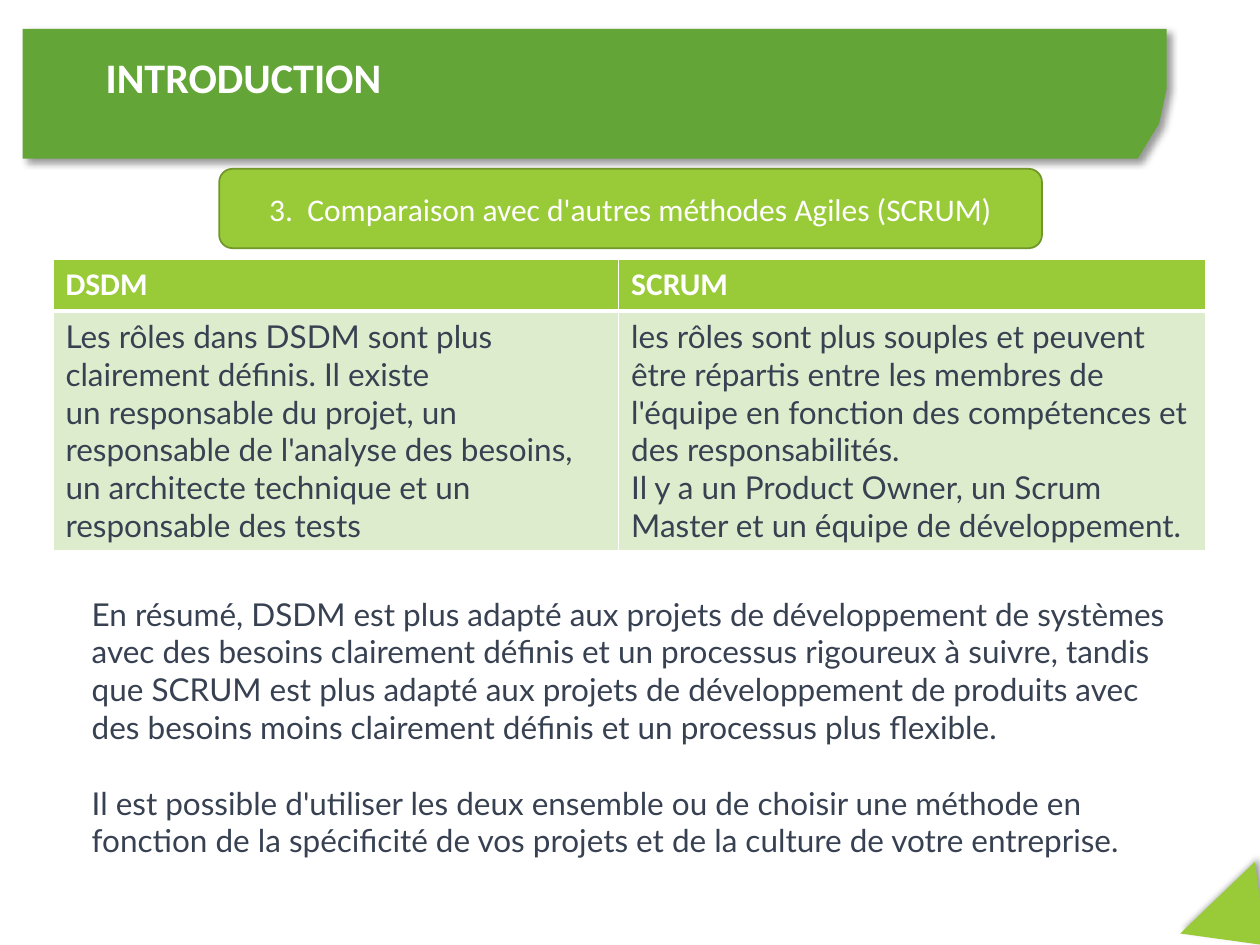
from lxml.etree import SubElement
from pptx import Presentation
from pptx.dml.color import RGBColor
from pptx.enum.shapes import MSO_SHAPE
from pptx.enum.text import MSO_ANCHOR, MSO_AUTO_SIZE, PP_ALIGN
from pptx.oxml.ns import qn
from pptx.util import Pt

PX = 9144  # EMU per px, 100 px to the inch

WHITE, LIME, DARK_LIME = "FFFFFF", "99CB38", "719629"
GREEN, PALE_GREEN, SLATE = "63A537", "DEECCE", "374151"

DSDM_ROLES = [
    "Les rôles dans DSDM sont plus clairement définis. Il existe",
    "un responsable du projet, un responsable de l'analyse des besoins, "
    "un architecte technique et un responsable des tests",
]
SCRUM_ROLES = [
    "les rôles sont plus souples et peuvent être répartis entre les membres de "
    "l'équipe en fonction des compétences et des responsabilités.",
    "Il y a un Product Owner, un Scrum Master et un équipe de développement.",
]
SUMMARY = [
    "En résumé, DSDM est plus adapté aux projets de développement de systèmes "
    "avec des besoins clairement définis et un processus rigoureux à suivre, "
    "tandis que SCRUM est plus adapté aux projets de développement de produits "
    "avec des besoins moins clairement définis et un processus plus flexible.",
    "Il est possible d'utiliser les deux ensemble ou de choisir une méthode en "
    "fonction de la spécificité de vos projets et de la culture de votre entreprise.",
]


def rgb(color):
    return RGBColor.from_string(color)


def emu(*lengths):
    return [length * PX for length in lengths]


def write(frame, paragraphs, font="Calibri", size=18, color=WHITE, bold=False,
          align=PP_ALIGN.LEFT, gap=0):
    """Fill a text frame; gap is the space in points between paragraphs."""
    frame.word_wrap = True
    for index, text in enumerate(paragraphs):
        paragraph = frame.paragraphs[0] if index == 0 else frame.add_paragraph()
        paragraph.alignment = align
        if index:
            paragraph.space_before = Pt(gap)
        run = paragraph.add_run()
        run.text = text
        run.font.name, run.font.size, run.font.bold = font, Pt(size), bold
        run.font.color.rgb = rgb(color)


def cast_shadow(shape, direction):
    effects = shape.element.spPr.find(qn("a:effectLst"))
    shadow = SubElement(effects, qn("a:outerShdw"), blurRad=str(Pt(4)), dist=str(Pt(3)),
                        dir=str(direction * 60000), algn="ctr", rotWithShape="0")
    black = SubElement(shadow, qn("a:srgbClr"), val="000000")
    SubElement(black, qn("a:alpha"), val="40000")


def draw_borders(cell, bottom):
    properties = cell._tc.get_or_add_tcPr()
    for side, width in (("L", 1), ("R", 1), ("T", 1), ("B", bottom)):
        border = SubElement(properties, qn(f"a:ln{side}"), w=str(Pt(width)))
        fill = SubElement(border, qn("a:solidFill"))
        SubElement(fill, qn("a:srgbClr"), val=WHITE)


class SlideBuilder:
    def __init__(self, slide):
        self.shapes = slide.shapes

    def paint(self, shape, fill, line=None):
        shape.shadow.inherit = False
        shape.fill.solid()
        shape.fill.fore_color.rgb = rgb(fill)
        if line:
            shape.line.color.rgb = rgb(line)
            shape.line.width = Pt(1)
        else:
            shape.line.fill.background()
        return shape

    def outline(self, points, fill):
        builder = self.shapes.build_freeform(*points[0], scale=PX)
        builder.add_line_segments(points[1:], close=True)
        return self.paint(builder.convert_to_shape(), fill)

    def preset(self, kind, box, fill, line=None):
        return self.paint(self.shapes.add_shape(kind, *emu(*box)), fill, line)

    def text(self, box, paragraphs, **style):
        frame = self.shapes.add_textbox(*emu(*box)).text_frame
        write(frame, paragraphs, **style)
        frame.auto_size = MSO_AUTO_SIZE.SHAPE_TO_FIT_TEXT

    def table(self, left, top, widths, heights, rows):
        box = emu(left, top, sum(widths), sum(heights))
        table = self.shapes.add_table(len(heights), len(widths), *box).table
        for column, width in zip(table.columns, emu(*widths)):
            column.width = width
        for row, height in zip(table.rows, emu(*heights)):
            row.height = height
        for r, contents in enumerate(rows):
            header = r == 0
            for c, paragraphs in enumerate(contents):
                cell = table.cell(r, c)
                draw_borders(cell, bottom=3 if header else 1)
                cell.fill.solid()
                cell.fill.fore_color.rgb = rgb(LIME if header else PALE_GREEN)
                if header:
                    write(cell.text_frame, paragraphs, bold=True)
                else:
                    write(cell.text_frame, paragraphs, font="Lato", color=SLATE)


def main():
    presentation = Presentation()
    presentation.slide_width, presentation.slide_height = emu(1000, 750)
    page = SlideBuilder(presentation.slides.add_slide(presentation.slide_layouts[6]))

    banner = page.outline(
        [(18, 23), (926, 23), (926, 70), (920, 98), (903, 126), (18, 126)], GREEN)
    cast_shadow(banner, 45)
    corner = page.preset(MSO_SHAPE.ISOSCELES_TRIANGLE, (944, 705, 82, 54), LIME)
    corner.adjustments[0] = 0.48
    corner.rotation = 136.2
    cast_shadow(corner, 315)

    page.text((74, 36, 392, 50), ["INTRODUCTION"], size=24, bold=True)
    subtitle = page.preset(
        MSO_SHAPE.ROUNDED_RECTANGLE, (174, 134, 653, 63), LIME, DARK_LIME)
    subtitle.text_frame.vertical_anchor = MSO_ANCHOR.MIDDLE
    write(subtitle.text_frame, ["3.  Comparaison avec d'autres méthodes Agiles (SCRUM)"],
          align=PP_ALIGN.CENTER)

    page.table(42, 206, widths=(449, 466), heights=(41, 190),
               rows=[[["DSDM"], ["SCRUM"]], [DSDM_ROLES, SCRUM_ROLES]])
    page.text((63, 467, 894, 222), SUMMARY, font="Lato", color=SLATE, gap=21.6)

    presentation.save("out.pptx")


if __name__ == "__main__":
    main()
